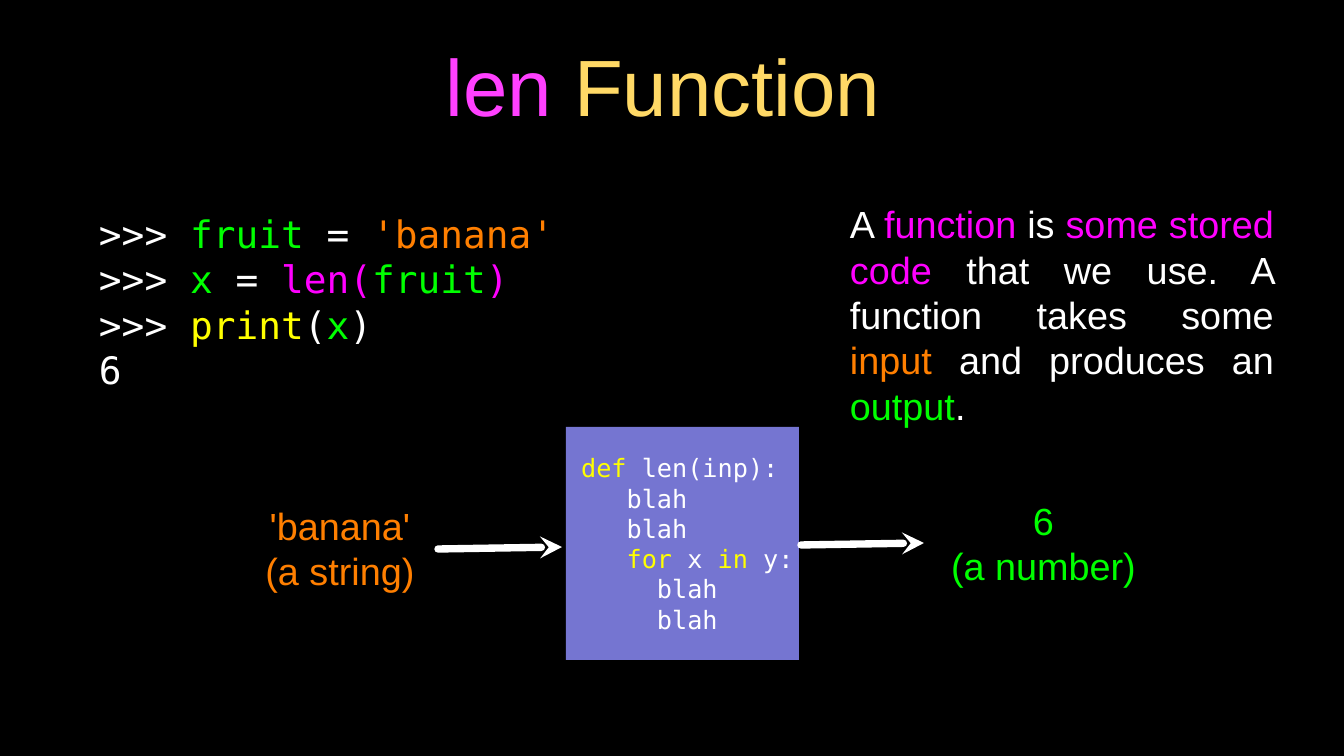
from lxml.etree import SubElement
from pptx import Presentation
from pptx.dml.color import RGBColor
from pptx.enum.shapes import MSO_CONNECTOR, MSO_SHAPE
from pptx.enum.text import MSO_ANCHOR, MSO_AUTO_SIZE, PP_ALIGN
from pptx.oxml.ns import qn
from pptx.util import Pt

PX = 914400 / 75.6  # EMU in one pixel
SANS, MONO = "Arial", "DejaVu Sans Mono"
WHITE, YELLOW, GREEN = "FFFFFF", "FFFF00", "00FF00"
ORANGE, MAGENTA = "FF7F00", "FF00FF"


def emu(*lengths):
    return [round(length * PX) for length in lengths]


def write(shape, lines, font, size, align=PP_ALIGN.LEFT, margin=0, spacing=1.2):
    """Fill a shape with lines, each a list of (text, colour) spans."""
    frame = shape.text_frame
    frame.word_wrap = True
    frame.auto_size = MSO_AUTO_SIZE.NONE
    frame.vertical_anchor = MSO_ANCHOR.MIDDLE
    frame.margin_left = frame.margin_right = round(margin * PX)
    frame.margin_top = frame.margin_bottom = round(margin * PX)
    for number, line in enumerate(lines):
        para = frame.add_paragraph() if number else frame.paragraphs[0]
        para.alignment = align
        para.line_spacing = Pt(size * spacing)
        para.font.name = font
        para.font.size = Pt(size)
        for text, colour in line:
            span = para.add_run()
            span.text = text
            span.font.color.rgb = RGBColor.from_string(colour)


deck = Presentation()
deck.slide_width, deck.slide_height = emu(1344, 756)
page = deck.slides.add_slide(deck.slide_layouts[5])
page.background.fill.solid()
page.background.fill.fore_color.rgb = RGBColor.from_string("000000")

# Title
title = page.shapes.title
title.left, title.top, title.width, title.height = emu(87, 14, 1152, 141)
write(title, [[("len ", "FF40FF"), ("Function", "FFD966")]],
      SANS, 76, PP_ALIGN.CENTER, margin=3)

# Function body in the middle
function_box = page.shapes.add_shape(MSO_SHAPE.RECTANGLE, *emu(566, 427, 233, 233))
function_box.shadow.inherit = False
function_box.fill.solid()
function_box.fill.fore_color.rgb = RGBColor.from_string("7575D1")
function_box.line.fill.background()
write(function_box, [
    [(" def ", YELLOW), ("len(inp):", WHITE)],
    [("    blah", WHITE)],
    [("    blah", WHITE)],
    [("    for", YELLOW), (" x ", WHITE), ("in", YELLOW), (" y:", WHITE)],
    [("      blah", WHITE)],
    [("      blah", WHITE)],
], MONO, 24)

# Text blocks: session, definition, input and output
prompt = (">>> ", WHITE)
session = [
    [prompt, ("fruit ", GREEN), ("=", WHITE), (" 'banana'", ORANGE)],
    [prompt, ("x ", GREEN), ("= ", WHITE), ("len(", MAGENTA),
     ("fruit", GREEN), (")", MAGENTA)],
    [prompt, ("print", YELLOW), ("(", WHITE), ("x", GREEN), (")", WHITE)],
    [("6", WHITE)],
]
definition = [[
    ("A ", WHITE), ("function", MAGENTA), (" is ", WHITE),
    ("some stored code", MAGENTA),
    (" that we use. A function takes some ", WHITE), ("input", ORANGE),
    (" and produces an ", WHITE), ("output", GREEN), (".", WHITE),
]]
given = [[("'banana'", ORANGE)], [("(a string)", ORANGE)]]
result = [[("6", GREEN)], [("(a number)", GREEN)]]
for area, lines, font, align in [
    ((99, 210, 466, 183), session, MONO, PP_ALIGN.LEFT),
    ((850, 224, 424, 181), definition, SANS, PP_ALIGN.JUSTIFY),
    ((265, 502, 150, 92), given, SANS, PP_ALIGN.CENTER),
    ((946, 496, 195, 94), result, SANS, PP_ALIGN.CENTER),
]:
    write(page.shapes.add_textbox(*emu(*area)), lines, font, 36, align)

# Arrows into and out of the function
for ends in [(438, 549, 562, 547), (801, 545, 924, 543)]:
    arrow = page.shapes.add_connector(MSO_CONNECTOR.STRAIGHT, *emu(*ends))
    arrow.line.color.rgb = RGBColor.from_string(WHITE)
    arrow.line.width = Pt(7)
    outline = arrow.line._get_or_add_ln()
    outline.set("cap", "rnd")
    SubElement(outline, qn("a:tailEnd"), type="stealth")
    SubElement(arrow._element.spPr, qn("a:effectLst"))

deck.save("out.pptx")
